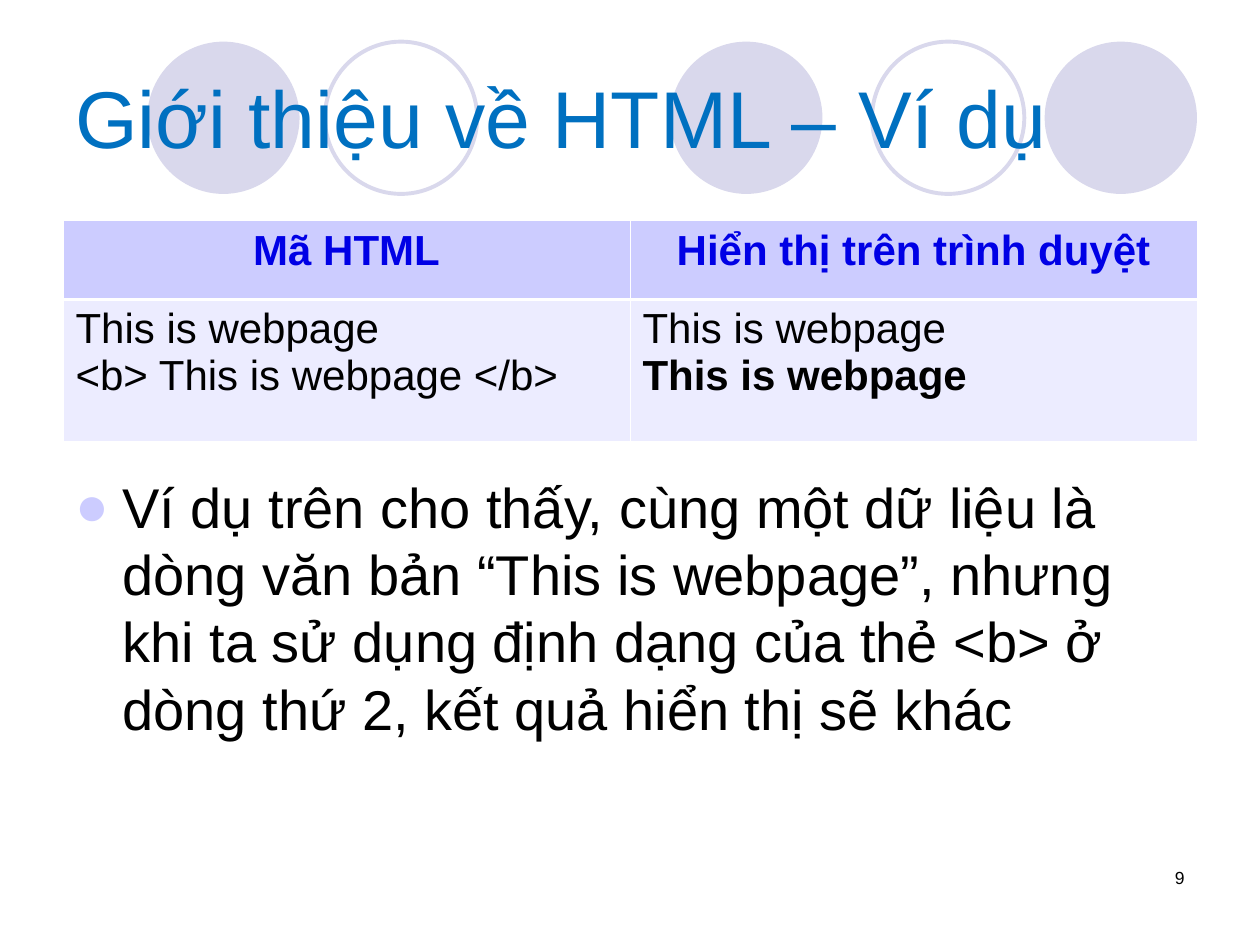
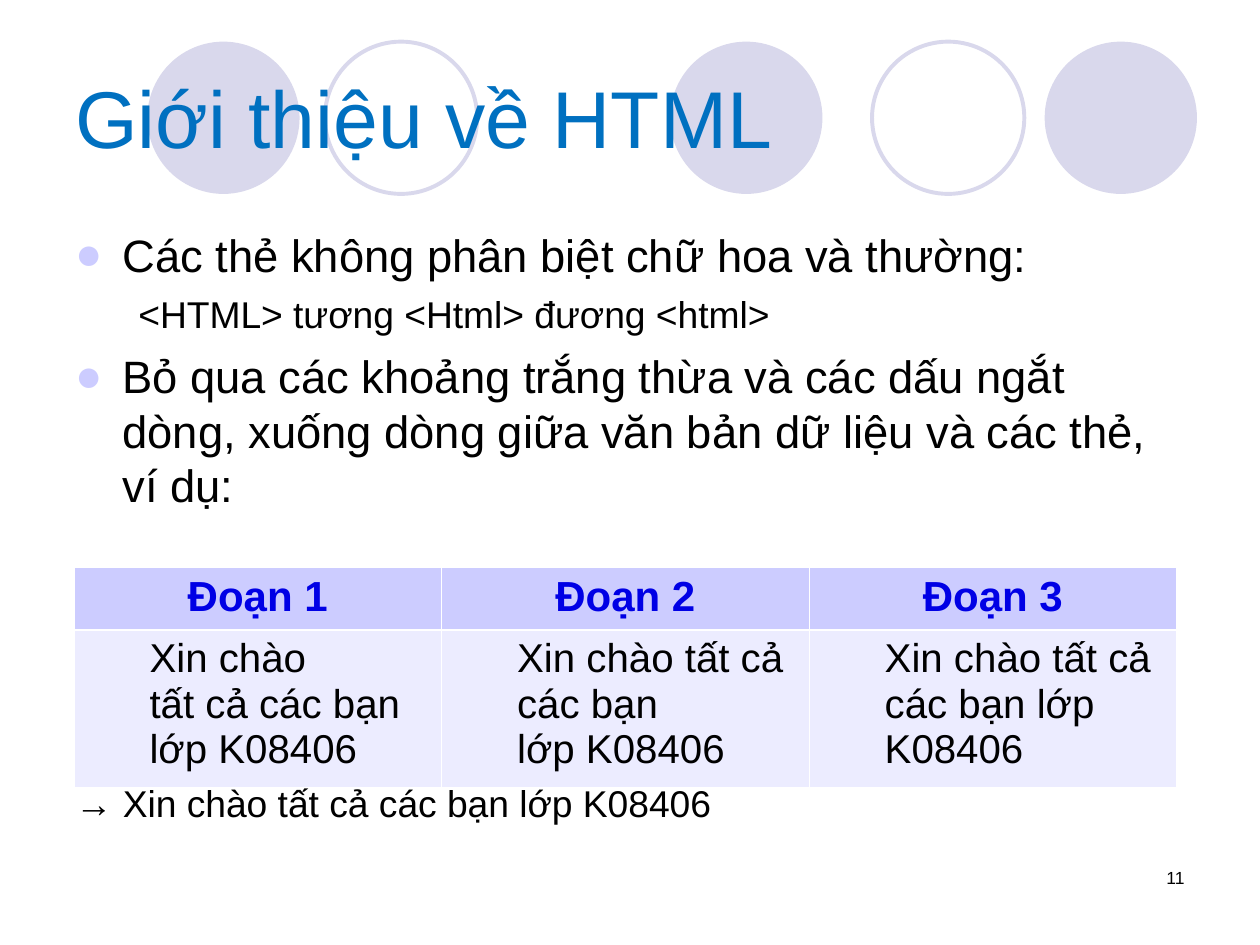
from lxml import etree
from pptx import Presentation
from pptx import util as u
from pptx.dml.color import RGBColor
from pptx.enum import shapes, text
from pptx.oxml import ns

BLUE, LINK, LILAC, PALE = "0070C0", "0000E5", "CCCCFF", "ECECFF"
RING, BLACK, WHITE = "D9D8EC", "000000", "FFFFFF"
LEFT, WIDTH = 1.27, 22.86


def rgb(value):
    return RGBColor.from_string(value)


def add(parent, tag, **attrs):
    return etree.SubElement(parent, ns.qn(tag), attrs)


class Deck:
    font = "Arial"
    circles = [(2.97, True), (6.55, False), (13.51, True), (17.58, False), (21.06, True)]

    def __init__(self):
        self.prs = Presentation()
        self.prs.slide_width, self.prs.slide_height = u.Cm(25.4), u.Cm(19.05)

    def slide(self, title, number):
        self.s = self.prs.slides.add_slide(self.prs.slide_layouts[6])
        for left, filled in self.circles:
            self.circle(left, filled)
        tf = self.box(LEFT, 0.76, WIDTH, 3.18)
        tf.vertical_anchor = text.MSO_ANCHOR.MIDDLE
        self.style(tf.paragraphs[0], title, 46, BLUE)
        tf = self.box(18.21, 17.35, 5.92, 1.27)
        self.style(tf.paragraphs[0], number, 10, align=text.PP_ALIGN.RIGHT)

    def circle(self, left, filled):
        sp = self.s.shapes.add_shape(shapes.MSO_SHAPE.OVAL, u.Cm(left), u.Cm(0.84), u.Cm(3.07), u.Cm(3.07))
        sp.shadow.inherit = False
        if filled:
            sp.fill.solid()
            sp.fill.fore_color.rgb = rgb(RING)
            sp.line.fill.background()
        else:
            sp.fill.background()
            sp.line.color.rgb = rgb(RING)
            sp.line.width = u.Pt(2.25)

    def box(self, left, top, width, height):
        tf = self.s.shapes.add_textbox(u.Cm(left), u.Cm(top), u.Cm(width), u.Cm(height)).text_frame
        tf.word_wrap = True
        return tf

    def style(self, p, words, size, color=BLACK, bold=False, align=text.PP_ALIGN.LEFT):
        p.text = words
        p.alignment = align
        p.font.name = self.font
        p.font.size = u.Pt(size)
        p.font.bold = bold
        p.font.color.rgb = rgb(color)

    def indent(self, p, margin, first=0):
        pPr = p._p.get_or_add_pPr()
        pPr.set("marL", str(u.Cm(margin)))
        pPr.set("indent", str(u.Cm(first)))
        return pPr

    def body(self, top, height, items):
        tf = self.box(LEFT, top, WIDTH, height)
        for i, (kind, size, words) in enumerate(items):
            p = tf.add_paragraph() if i else tf.paragraphs[0]
            if kind == "bullet":
                pPr = self.indent(p, 0.95, -0.95)
                add(add(pPr, "a:buClr"), "a:srgbClr", val=LILAC)
                add(pPr, "a:buFont", typeface=self.font)
                add(pPr, "a:buChar", char="●")
            elif kind == "sub":
                self.indent(p, 1.27)
            self.style(p, words, size)
            p.line_spacing = u.Pt(round(size * 1.2, 1))
            if i:
                p.space_before = u.Pt(round(size * 0.27, 1))

    def borders(self, cell, header):
        tcPr = cell._tc.get_or_add_tcPr()
        widths = {"L": 0.45, "R": 0.45, "T": 0.45 if header else 1.47, "B": 1.47 if header else 0.45}
        for side, width in widths.items():
            ln = add(tcPr, f"a:ln{side}", w=str(u.Pt(width)))
            add(add(ln, "a:solidFill"), "a:srgbClr", val=WHITE)

    def table(self, left, top, col, heights, rows, size, margin=0):
        count = len(rows[0])
        table = self.s.shapes.add_table(len(rows), count, u.Cm(left), u.Cm(top),
                                        u.Cm(col * count), u.Cm(sum(heights))).table
        table.first_row = table.horz_banding = False
        for column in table.columns:
            column.width = u.Cm(col)
        for i, (height, row) in enumerate(zip(heights, rows)):
            table.rows[i].height = u.Cm(height)
            header = i == 0
            for j, words in enumerate(row):
                cell = table.cell(i, j)
                self.borders(cell, header)
                cell.fill.solid()
                cell.fill.fore_color.rgb = rgb(LILAC if header else PALE)
                cell.text = words
                for p in cell.text_frame.paragraphs:
                    if header:
                        self.style(p, p.text, 24, LINK, True, text.PP_ALIGN.CENTER)
                    else:
                        self.indent(p, margin)
                        self.style(p, p.text, size)
        return table


def main():
    deck = Deck()

    deck.slide("Giới thiệu về HTML – Ví dụ", "9")
    deck.body(9.4, 7.6, [
        ("bullet", 32, "Ví dụ trên cho thấy, cùng một dữ liệu là dòng văn bản “This is webpage”, "
                       "nhưng khi ta sử dụng định dạng của thẻ <b> ở dòng thứ 2, kết quả hiển thị sẽ khác"),
    ])
    example = deck.table(LEFT, 4.45, 11.43, [1.59, 2.86], [
        ["Mã HTML", "Hiển thị trên trình duyệt"],
        ["This is webpage\n<b> This is webpage </b>", "This is webpage\nThis is webpage"],
    ], 24)
    example.cell(1, 1).text_frame.paragraphs[1].font.bold = True

    deck.slide("Giới thiệu về HTML", "11")
    deck.body(4.45, 6.5, [
        ("bullet", 25.9, "Các thẻ không phân biệt chữ hoa và thường:"),
        ("sub", 21.3, "<HTML> tương <Html> đương <html>"),
        ("bullet", 25.9, "Bỏ qua các khoảng trắng thừa và các dấu ngắt dòng, xuống dòng "
                         "giữa văn bản dữ liệu và các thẻ, ví dụ:"),
    ])
    deck.body(15.6, 1.2, [("plain", 21.3, "→ Xin chào tất cả các bạn lớp K08406")])
    deck.table(1.49, 11.43, 7.41, [1.27, 3.18], [
        ["Đoạn 1", "Đoạn 2", "Đoạn 3"],
        ["Xin chào\ntất cả các bạn\nlớp K08406",
         "Xin chào tất cả các bạn\nlớp K08406",
         "Xin chào tất cả các bạn lớp K08406"],
    ], 23, 1.27)

    deck.prs.save("out.pptx")


if __name__ == "__main__":
    main()
